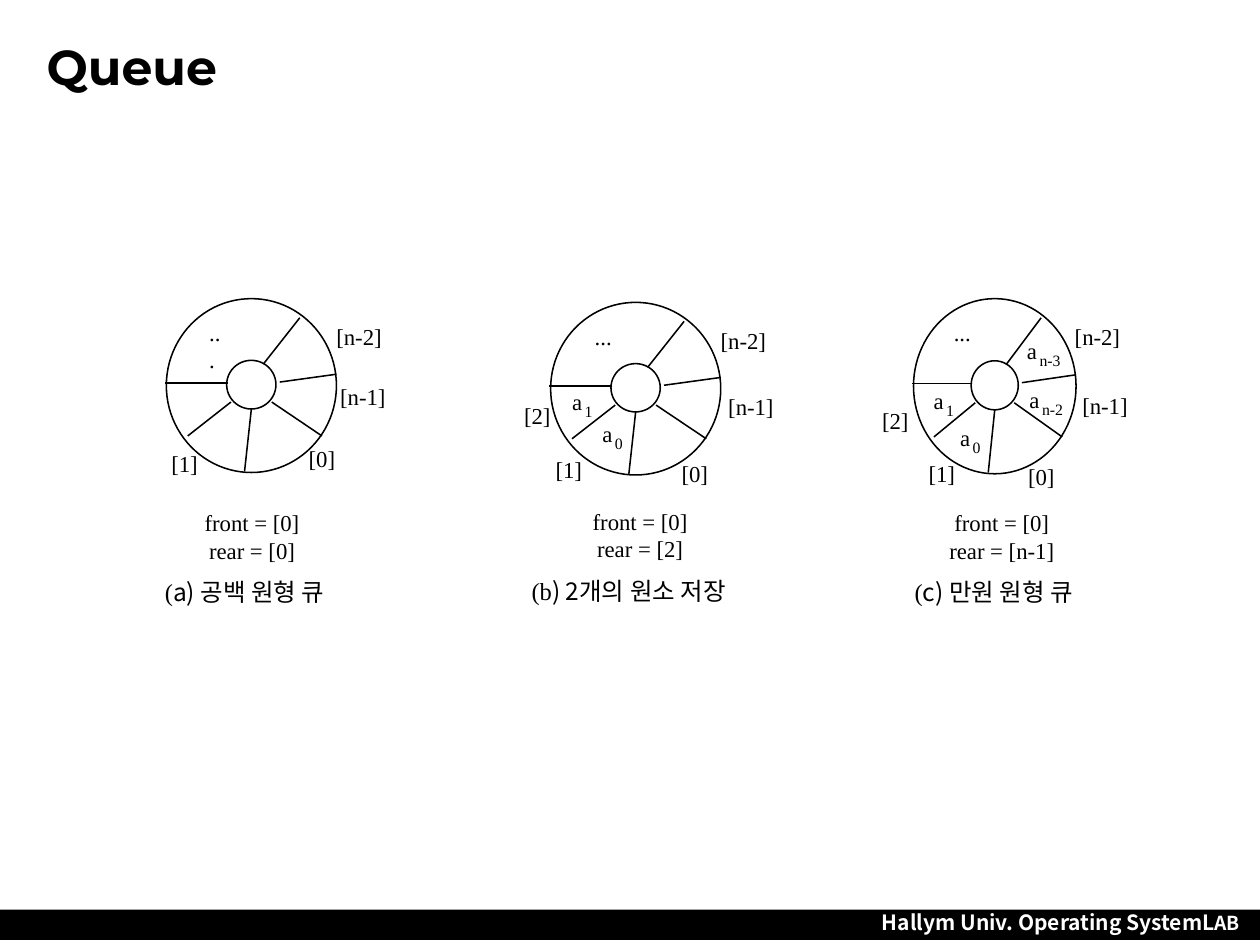
from lxml import etree
from pptx import Presentation
from pptx.dml.color import RGBColor
from pptx.enum.shapes import MSO_CONNECTOR as CONNECTOR, MSO_SHAPE as SHAPE
from pptx.enum.text import MSO_ANCHOR as ANCHOR, MSO_AUTO_SIZE as AUTO, PP_ALIGN as ALIGN
from pptx.oxml.ns import qn
from pptx.util import Inches, Pt

COLORS = {"ink": "000000", "paper": "FFFFFF"}
SERIF, SANS, HEAD = "Times New Roman", "Noto Sans CJK KR", "Montserrat"
LINE = Pt(0.88)

# Spokes and hub as fractions of the ring's box
SPOKES = [
    (0.38, 0.595, 0.126, 0.79), (0.363, 0.485, -0.01, 0.485),
    (0.5, 0.635, 0.46, 0.993), (0.62, 0.595, 0.915, 0.79),
    (0.667, 0.48, 1, 0.435), (0.57, 0.377, 0.785, 0.11),
]
HUB = (0.355, 0.355, 0.29, 0.28)
WIDTHS = {"...": 0.14, "[n-2]": 0.36, "[n-1]": 0.36}

# Labels and elements are offset from the ring's top left corner
QUEUES = [
    dict(box=(1.32, 2.37, 1.35, 1.38), center=2, top=4.04, rear="[0]",
         caption=("(", "a) 공백 원형 큐"), caption_box=(1.21, 1.61),
         labels=[("[n-2]", 1.35, 0.19), ("[0]", 1.13, 1.16),
                 ("[1]", 0.04, 1.2), ("[n-1]", 1.38, 0.67)],
         dots=(0.34, 0.16, 0.13), elements=[]),
    dict(box=(4.37, 2.4, 1.35, 1.37), center=5.08, top=4.03, rear="[2]",
         caption=("(b", ") 2개의 원소 저장"), caption_box=(4.12, 1.91),
         labels=[("[n-2]", 1.35, 0.19), ("[0]", 1.04, 1.25), ("[1]", 0.04, 1.22),
                 ("[2]", -0.21, 0.79), ("[n-1]", 1.41, 0.72)],
         dots=(0.35, 0.16, 0.14),
         elements=[("1", 0.17, 0.68), ("0", 0.41, 0.93)]),
    dict(box=(7.25, 2.37, 1.29, 1.39), center=7.95, top=4.04, rear="[n-1]",
         caption=("(", "c) 만원 원형 큐"), caption_box=(7.16, 1.61),
         labels=[("[n-2]", 1.28, 0.19), ("[n-1]", 1.34, 0.74), ("[0]", 0.91, 1.3),
                 ("[1]", 0.12, 1.28), ("[2]", -0.25, 0.86)],
         dots=(0.32, 0.16, 0.14),
         elements=[("1", 0.16, 0.7), ("0", 0.37, 0.99),
                   ("n-3", 0.9, 0.3), ("n-2", 0.92, 0.69)]),
]


def rgb(name):
    return RGBColor.from_string(COLORS[name])


def add_run(p, text, size, font=SERIF, color="ink", bold=False):
    r = p.add_run()
    r.text = text
    for name, value in dict(size=Pt(size), name=font, bold=bold).items():
        setattr(r.font, name, value)
    r.font.color.rgb = rgb(color)
    etree.SubElement(r.font._element, qn("a:ea")).set("typeface", font)


def add_text(shapes, box, paragraphs, align=ALIGN.LEFT, inset=True, wrap=False):
    """Place paragraphs, each a list of add_run arguments."""
    tf = shapes.add_textbox(*map(Inches, box)).text_frame
    tf.word_wrap = wrap
    tf.auto_size = AUTO.SHAPE_TO_FIT_TEXT
    if not inset:
        for side in ("left", "right", "top", "bottom"):
            setattr(tf, f"margin_{side}", 0)
    for i, runs in enumerate(paragraphs):
        p = tf.add_paragraph() if i else tf.paragraphs[0]
        p.alignment = align
        for run in runs:
            add_run(p, *run)


def add_label(shapes, text, x, y, width, size=13, wrap=False):
    add_text(shapes, (x, y, width, 0.22 if size == 13 else 0.15),
             [[(text, size)]], inset=False, wrap=wrap)


def add_circle(shapes, box):
    sp = shapes.add_shape(SHAPE.OVAL, *map(Inches, box))
    sp.shadow.inherit = False
    sp.fill.background()
    sp.line.color.rgb = rgb("ink")
    sp.line.width = LINE


def add_ring(shapes, box):
    x, y, w, h = box
    hx, hy, hw, hh = HUB
    add_circle(shapes, box)
    add_circle(shapes, (x + hx * w, y + hy * h, hw * w, hh * h))
    for x1, y1, x2, y2 in SPOKES:
        ends = (x + x1 * w, y + y1 * h, x + x2 * w, y + y2 * h)
        line = shapes.add_connector(CONNECTOR.STRAIGHT, *map(Inches, ends))
        line.line.color.rgb = rgb("ink")
        line.line.width = LINE
        etree.SubElement(line._element.spPr, qn("a:effectLst"))


def add_queue(s, queue):
    shapes = s.shapes.add_group_shape().shapes
    x, y = queue["box"][:2]
    add_ring(shapes, queue["box"])
    for text, dx, dy in queue["labels"]:
        add_label(shapes, text, x + dx, y + dy, WIDTHS.get(text, 0.21))
    dx, dy, width = queue["dots"]
    add_label(shapes, "...", x + dx, y + dy, width, wrap=width < WIDTHS["..."])
    for index, dx, dy in queue["elements"]:
        add_label(shapes, "a", x + dx, y + dy, 0.08)
        add_label(shapes, index, x + dx + 0.1, y + dy + 0.11,
                  0.06 * len(index), size=9)


def add_state(s, queue):
    """Front and rear values with the caption below them."""
    top, width = queue["top"], 0.9
    add_text(s.shapes, (queue["center"] - width / 2, top, width, 0.43),
             [[("front = [0]", 13)], [(f"rear = {queue['rear']}", 13)]],
             align=ALIGN.CENTER, inset=False)
    left, width = queue["caption_box"]
    mark, text = queue["caption"]
    add_text(s.shapes, (left, top + 0.49, width, 0.33),
             [[(mark, 14), (text, 14, SANS)]])


def add_title(s, box):
    title = s.shapes.title
    for name, value in zip(("left", "top", "width", "height"), box):
        setattr(title, name, Inches(value))
    tf = title.text_frame
    tf.vertical_anchor = ANCHOR.MIDDLE
    tf.paragraphs[0].alignment = ALIGN.LEFT
    add_run(tf.paragraphs[0], "Queue", 28, HEAD, bold=True)


def add_footer(s, box):
    x, y, w, h = box
    bar = s.shapes.add_shape(SHAPE.RECTANGLE, *map(Inches, box))
    bar.shadow.inherit = False
    bar.fill.solid()
    bar.fill.fore_color.rgb = rgb("ink")
    bar.line.fill.background()
    parts = [("Hallym Univ. Operating", 12), (" ", 11), ("SystemL", 12), ("AB", 11)]
    add_text(s.shapes, (x + w - 3.13, y - 0.05, 3.08, 0.3),
             [[(text, size, SANS, "paper", True) for text, size in parts]],
             align=ALIGN.CENTER)


def main():
    prs = Presentation()
    prs.slide_width, prs.slide_height = Inches(10), Inches(7.5)
    s = prs.slides.add_slide(prs.slide_layouts[5])
    add_footer(s, (0, 7.22, 10.01, 0.24))
    add_title(s, (0.27, 0.13, 9.45, 0.79))
    for queue in QUEUES:
        add_queue(s, queue)
        add_state(s, queue)
    prs.save("out.pptx")


if __name__ == "__main__":
    main()
